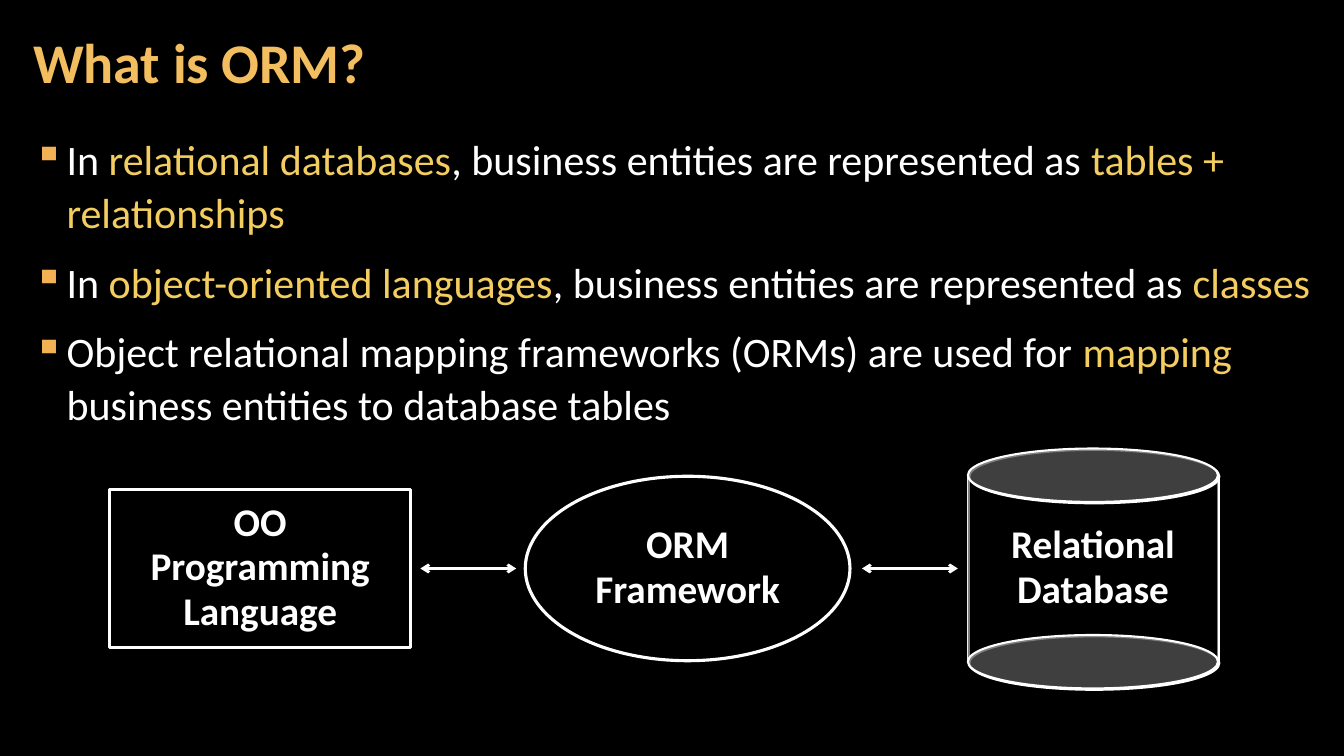
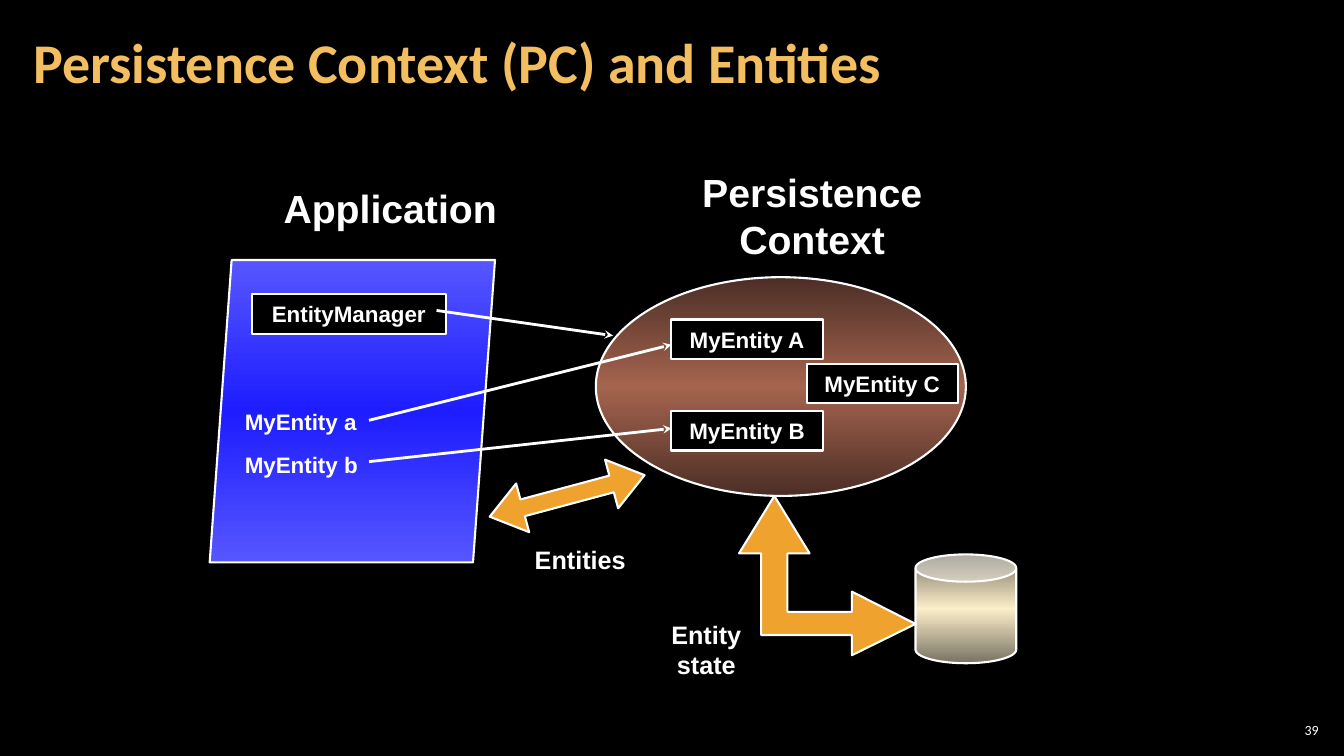
from lxml.etree import SubElement
from pptx import Presentation
from pptx.dml.color import RGBColor
from pptx.enum.shapes import MSO_CONNECTOR, MSO_SHAPE
from pptx.enum.text import MSO_ANCHOR, PP_ALIGN
from pptx.oxml.ns import qn
from pptx.util import Inches, Pt

WHITE = "FFFFFF"
BLACK = "000000"
TITLE_GOLD = "F3BE60"
TERM_GOLD = "F3CD60"
BULLET_GOLD = "F2B254"
ARROW_ORANGE = "F0A22E"

TITLE_BOX = (0.21, 0.04, 10.47, 1.21)
NUMBER_BOX = (12.65, 7.14, 0.47, 0.21)
PAGE_INSETS = (0.12, 0.04, 0.12, 0.04)
TEXT_INSETS = (0.1, 0.05, 0.1, 0.05)

TITLE_FONT = dict(name="Calibri", size=Pt(40), bold=True)
BODY_FONT = dict(name="Calibri", size=Pt(30))
MODEL_FONT = dict(name="Calibri", size=Pt(28), bold=True)
NUMBER_FONT = dict(name="Calibri", size=Pt(10))
HEADING_FONT = dict(name="Arial", size=Pt(28), bold=True)
CAPTION_FONT = dict(name="Arial", size=Pt(18), bold=True)
ENTITY_FONT = dict(name="Arial", size=Pt(16), bold=True)


def rgb(code):
    return RGBColor.from_string(code)


def apply(target, values):
    for name, value in values.items():
        setattr(target, name, value)


def child(parent, tag, **attributes):
    return SubElement(parent, qn(tag), attributes)


def add_runs(paragraph, runs, font, **layout):
    apply(paragraph, layout)
    for words, color in runs:
        run = paragraph.add_run()
        run.text = words
        apply(run.font, font)
        run.font.color.rgb = rgb(color)


def write(shape, lines, font, insets=TEXT_INSETS, anchor=MSO_ANCHOR.MIDDLE,
          color=WHITE, **layout):
    frame = shape.text_frame
    edges = ("margin_left", "margin_top", "margin_right", "margin_bottom")
    apply(frame, dict(zip(edges, map(Inches, insets))))
    apply(frame, dict(word_wrap=True, vertical_anchor=anchor))
    for index, line in enumerate(lines):
        paragraph = frame.add_paragraph() if index else frame.paragraphs[0]
        runs = [(line, color)] if isinstance(line, str) else line
        add_runs(paragraph, runs, font, **layout)


def add_text(slide, box, lines, font, **layout):
    area = slide.shapes.add_textbox(*map(Inches, box))
    write(area, lines, font, **layout)
    return area


def cast_shadow(shape):
    effects = shape.element.spPr.find(qn("a:effectLst"))
    shadow = child(effects, "a:outerShdw", dist=str(Pt(1.4)), dir="2700000",
                   algn="ctr", rotWithShape="0")
    child(shadow, "a:srgbClr", val=WHITE)


def paint(shape, fill, line=WHITE, width=1.5, opacity=100):
    shape.shadow.inherit = False
    shape.fill.solid()
    shape.fill.fore_color.rgb = rgb(fill)
    if opacity < 100:
        color = shape.element.spPr.find(qn("a:solidFill"))[0]
        child(color, "a:alpha", val=str(opacity * 1000))
    if line:
        shape.line.color.rgb = rgb(line)
        shape.line.width = Pt(width)
    else:
        shape.line.fill.background()


def add_figure(slide, preset, box, fill, adjustments=(), **style):
    figure = slide.shapes.add_shape(preset, *map(Inches, box))
    for index, value in enumerate(adjustments):
        figure.adjustments[index] = value
    paint(figure, fill, **style)
    return figure


def shade(shape, edge, middle):
    shape.fill.gradient()
    shape.fill.gradient_angle = 270
    stops = next(shape.element.spPr.iter(qn("a:gsLst")))
    stops.clear()
    for position, color in ((0, edge), (50, middle), (100, edge)):
        stop = child(stops, "a:gs", pos=str(position * 1000))
        child(stop, "a:srgbClr", val=color)


def add_link(slide, start, end, width=2, head=None, tail=None):
    link = slide.shapes.add_connector(
        MSO_CONNECTOR.STRAIGHT, *map(Inches, (*start, *end)))
    link.line.color.rgb = rgb(WHITE)
    link.line.width = Pt(width)
    for tag, kind in (("a:headEnd", head), ("a:tailEnd", tail)):
        if kind:
            child(link.line._get_or_add_ln(), tag, type=kind)
    child(link.element.spPr, "a:effectLst")
    return link


def add_titled_slide(deck, title):
    slide = deck.slides.add_slide(deck.slide_layouts[6])
    add_text(slide, TITLE_BOX, [title], TITLE_FONT, insets=PAGE_INSETS,
             color=TITLE_GOLD, line_spacing=0.9)
    return slide


def add_bullets(slide, box, points):
    body = add_text(slide, box, points, BODY_FONT, insets=PAGE_INSETS,
                    anchor=MSO_ANCHOR.TOP, line_spacing=1.05,
                    space_before=Pt(6), space_after=Pt(6))
    indent = Inches(0.33)
    for paragraph in body.text_frame.paragraphs:
        properties = paragraph._p.get_or_add_pPr()
        properties.set("marL", str(indent))
        properties.set("indent", str(-indent))
        child(child(properties, "a:buClr"), "a:srgbClr", val=BULLET_GOLD)
        child(properties, "a:buChar", char="▪")


def add_database(slide, box):
    left, top, width, height = box
    cap = 0.53
    upper, lower = top + cap / 2, top + height - cap / 2
    sides = [add_link(slide, (x, upper), (x, lower), 1.5)
             for x in (left, left + width)]
    store = add_figure(slide, MSO_SHAPE.RECTANGLE,
                       (left, upper, width, lower - upper),
                       BLACK, line=None, opacity=50)
    write(store, ["Relational", "Database"], MODEL_FONT,
          insets=(0.16, 0.1, 0.16, 0.12), alignment=PP_ALIGN.CENTER,
          line_spacing=0.95)
    caps = [add_figure(slide, MSO_SHAPE.OVAL, (left, y, width, cap), BLACK,
                       opacity=50) for y in (top, top + height - cap)]
    for part in sides + caps:
        cast_shadow(part)


def add_mapping_diagram(slide, box):
    left, top, width, height = box
    middle = top + height / 2
    models = (
        (MSO_SHAPE.RECTANGLE, 0, 2.98, 1.57, 40,
         ["OO", "Programming", "Language"]),
        (MSO_SHAPE.OVAL, 4.12, 3.22, 1.83, 50, ["ORM", "Framework"]),
    )
    for preset, x, wide, high, opacity, lines in models:
        model = add_figure(slide, preset,
                           (left + x, middle - high / 2, wide, high),
                           BLACK, width=2.25, opacity=opacity)
        write(model, lines, MODEL_FONT, insets=(0, 0.1, 0, 0.12),
              alignment=PP_ALIGN.CENTER, line_spacing=0.95)
    for x in (left + 3.08, left + 7.46):
        add_link(slide, (x, middle), (x + 0.95, middle),
                 head="arrow", tail="arrow")
    store_width = 2.48
    add_database(slide, (left + width - store_width, top, store_width, height))


def add_entity(slide, box, name):
    entity = add_figure(slide, MSO_SHAPE.RECTANGLE, box, BLACK)
    write(entity, [name], ENTITY_FONT, alignment=PP_ALIGN.CENTER)


def add_application(slide, box):
    left, top, width, height = box
    panel = add_figure(slide, MSO_SHAPE.PARALLELOGRAM, box, BLACK, [0.077])
    shade(panel, "5656FF", "1D1DFF")
    add_text(slide, (left + 0.52, top - 0.8, 2.54, 0.57), ["Application"],
             HEADING_FONT, alignment=PP_ALIGN.CENTER)
    add_entity(slide, (left + 0.42, top + 0.34, 1.92, 0.39), "EntityManager")
    for row, name in enumerate(("MyEntity a", "MyEntity b")):
        add_text(slide, (left + 0.25, top + 1.42 + row * 0.42, 2.33, 0.37),
                 [name], ENTITY_FONT)


def add_context(slide, box):
    left, top, width, height = box
    pool = add_figure(slide, MSO_SHAPE.OVAL, box, BLACK)
    shade(pool, "4C2E26", "A5644E")
    add_text(slide, (left + 0.87, top - 1.13, 2.55, 1.03),
             ["Persistence Context"], HEADING_FONT,
             alignment=PP_ALIGN.CENTER)
    for name, x, y in (("A", 0.75, 0.42), ("B", 0.75, 1.33), ("C", 2.09, 0.86)):
        add_entity(slide, (left + x, top + y, 1.5, 0.39), f"MyEntity {name}")


def add_bent_arrow(slide, box):
    left, top, width, height = box
    outline = [(Inches(left + x), Inches(top + y)) for x, y in (
        (0.35, 0), (0.7, 0.57), (0.48, 0.57), (0.48, 1.15), (1.12, 1.15),
        (1.12, 0.95), (width, 1.27), (1.12, height), (1.12, 1.38),
        (0.22, 1.38), (0.22, 0.57), (0, 0.57))]
    builder = slide.shapes.build_freeform(*outline[0])
    builder.add_line_segments(outline[1:], close=True)
    paint(builder.convert_to_shape(), ARROW_ORANGE)


def add_transfers(slide, box):
    left, top, width, height = box
    store = add_figure(slide, MSO_SHAPE.CAN,
                       (left + 4.25, top + 0.83, 1, 1.08), BLACK, [0.271])
    shade(store, "787262", "FBEEC9")
    add_bent_arrow(slide, (left + 2.5, top + 0.25, 1.75, 1.58))
    exchange = add_figure(slide, MSO_SHAPE.LEFT_RIGHT_ARROW,
                          (left, top, 1.59, 0.5), ARROW_ORANGE, [0.342, 0.677])
    exchange.rotation = 345
    for caption, x, y, high in (("Entities", 0.3, 0.68, 0.4),
                                ("Entity state", 1.55, 1.42, 0.7)):
        add_text(slide, (left + x, top + y, 1.25, high), [caption],
                 CAPTION_FONT, alignment=PP_ALIGN.CENTER)


def build_orm_slide(deck):
    slide = add_titled_slide(deck, "What is ORM?")
    add_bullets(slide, (0.21, 1.26, 12.91, 6.09), [
        [("In ", WHITE), ("relational databases", TERM_GOLD),
         (", business entities are represented as ", WHITE),
         ("tables + relationships", TERM_GOLD)],
        [("In ", WHITE), ("object-oriented languages", TERM_GOLD),
         (", business entities are represented as ", WHITE),
         ("classes", TERM_GOLD)],
        [("Object relational mapping frameworks (ORMs) are used for ", WHITE),
         ("mapping", TERM_GOLD),
         (" business entities to database tables", WHITE)],
    ])
    add_mapping_diagram(slide, (1.09, 4.45, 10.99, 2.38))


def build_context_slide(deck):
    slide = add_titled_slide(deck, "Persistence Context (PC) and Entities")
    add_text(slide, NUMBER_BOX, ["39"], NUMBER_FONT, insets=(0.04,) * 4,
             alignment=PP_ALIGN.RIGHT)
    add_application(slide, (2.08, 2.58, 2.83, 3))
    add_context(slide, (5.91, 2.75, 3.67, 2.17))
    add_transfers(slide, (4.83, 4.67, 5.25, 2.12))
    for start, end in (((4.33, 3.08), (6.08, 3.33)),
                       ((3.66, 4.17), (6.66, 3.42)),
                       ((3.66, 4.58), (6.66, 4.25))):
        add_link(slide, start, end, tail="stealth")


def main():
    deck = Presentation()
    apply(deck, dict(slide_width=Inches(13.33), slide_height=Inches(7.5)))
    backdrop = deck.slide_master.background.fill
    backdrop.solid()
    backdrop.fore_color.rgb = rgb(BLACK)
    build_orm_slide(deck)
    build_context_slide(deck)
    deck.save("out.pptx")


if __name__ == "__main__":
    main()
